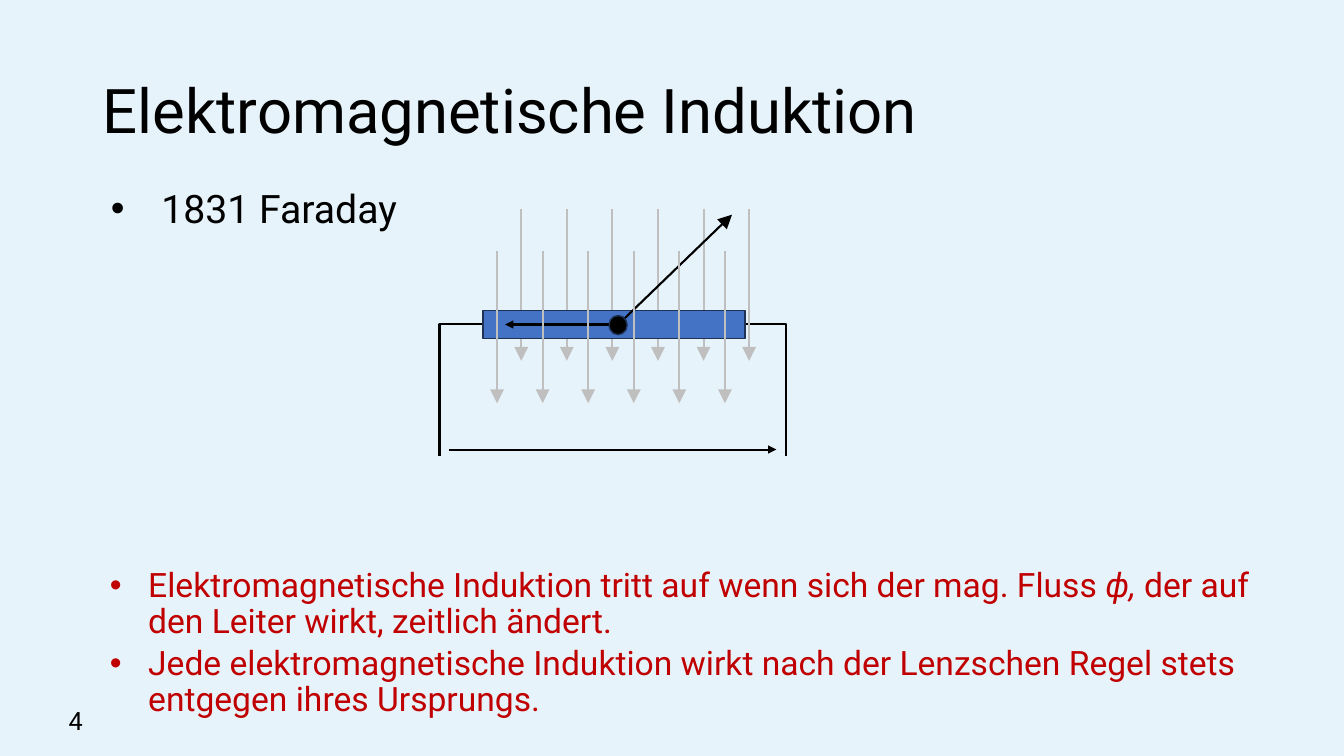
import pptx
import pptx.dml.color
import pptx.enum.shapes
import pptx.enum.text
import pptx.oxml
import pptx.oxml.ns
import pptx.util
from pptx.util import Inches

FONT = "Roboto"
BLACK, RED, GRAY = "000000", "C00000", "BFBFBF"
BACKGROUND, BAR_BLUE, BAR_EDGE = "E7F3FB", "4472C4", "1E3256"
LINE_WIDTH = 1.5
ALIGN = pptx.enum.text.PP_ALIGN
ANCHOR = pptx.enum.text.MSO_ANCHOR
SHAPE = pptx.enum.shapes.MSO_SHAPE


def color(value):
    return pptx.dml.color.RGBColor.from_string(value)


def add_element(parent, tag, **attributes):
    element = pptx.oxml.parse_xml(f"<a:{tag} {pptx.oxml.ns.nsdecls('a')}/>")
    for name, value in attributes.items():
        element.set(name, str(value))
    parent.append(element)


def place(shape, left, top, width, height):
    shape.left, shape.top = Inches(left), Inches(top)
    shape.width, shape.height = Inches(width), Inches(height)


def write(shape, paragraphs, size, ink=BLACK, align=ALIGN.LEFT,
          anchor=ANCHOR.TOP, indent=None, hanging=0, gap=0):
    """Fill a shape; each paragraph is a list of (text, italic) spans."""
    frame = shape.text_frame
    frame.word_wrap = True
    frame.auto_size = pptx.enum.text.MSO_AUTO_SIZE.NONE
    frame.vertical_anchor = anchor
    for index, spans in enumerate(paragraphs):
        para = frame.add_paragraph() if index else frame.paragraphs[0]
        para.alignment = align
        para.line_spacing = 0.9
        para.space_before = pptx.util.Pt(gap if index else 0)
        if indent is not None:
            properties = para._p.get_or_add_pPr()
            properties.set("marL", str(Inches(indent)))
            properties.set("indent", str(-Inches(hanging)))
            add_element(properties, "buFont", typeface="Arial")
            add_element(properties, "buChar", char="•")
        for text, italic in spans:
            span = para.add_run()
            span.text = text
            span.font.name = FONT
            span.font.size = pptx.util.Pt(size)
            span.font.italic = italic
            span.font.color.rgb = color(ink)


def add_line(page, start, end, ink=BLACK, head="med"):
    """Draw a straight arrow whose head has the given size."""
    line = page.shapes.add_connector(
        pptx.enum.shapes.MSO_CONNECTOR.STRAIGHT,
        *(Inches(value) for value in (*start, *end)))
    line.line.color.rgb = color(ink)
    line.line.width = pptx.util.Pt(LINE_WIDTH)
    add_element(line.line._get_or_add_ln(), "tailEnd",
                type="triangle", w=head, len=head)
    add_element(line._element.spPr, "effectLst")


def add_wire(page, points):
    start, *others = [(Inches(x), Inches(y)) for x, y in points]
    builder = page.shapes.build_freeform(*start)
    builder.add_line_segments(others, close=False)
    wire = builder.convert_to_shape()
    wire.fill.background()
    wire.line.color.rgb = color(BLACK)
    wire.line.width = pptx.util.Pt(LINE_WIDTH)
    wire.shadow.inherit = False


def add_solid(page, kind, fill, left, top, width, height):
    shape = page.shapes.add_shape(kind, 0, 0, 0, 0)
    place(shape, left, top, width, height)
    shape.fill.solid()
    shape.fill.fore_color.rgb = color(fill)
    shape.line.color.rgb = color(BAR_EDGE)
    shape.line.width = pptx.util.Pt(1)
    shape.shadow.inherit = False


def add_field_row(page, left, top):
    """Draw one row of six downward field arrows."""
    for column in range(6):
        x = left + column * 0.452
        add_line(page, (x, top), (x, top + 1.51), GRAY, "lg")


def draw_circuit(page, left, top, width):
    """Draw the moving conductor in its field, with the wires around it."""
    right = left + width
    wire_y, wire_end = top + 1.14, top + 2.45
    bar_left, bar_width = left + 0.43, 2.6
    add_wire(page, [(bar_left + bar_width, wire_y),
                    (right, wire_y), (right, wire_end)])
    add_wire(page, [(bar_left, wire_y), (left, wire_y), (left, wire_end)])
    add_line(page, (left + 0.09, top + 2.39), (right - 0.1, top + 2.39))
    add_field_row(page, left + 0.81, top)
    add_solid(page, SHAPE.RECTANGLE, BAR_BLUE,
              bar_left, top + 1.01, bar_width, 0.28)
    add_line(page, (left + 1.74, top + 1.18), (left + 2.9, top + 0.06),
             head="lg")
    add_solid(page, SHAPE.OVAL, BLACK, left + 1.68, top + 1.06, 0.18, 0.19)
    add_line(page, (left + 1.68, top + 1.15), (left + 0.65, top + 1.15))
    add_field_row(page, left + 0.57, top + 0.42)


def build_induction_page(deck):
    page = deck.slides.add_slide(deck.slide_layouts.get_by_name("Two Content"))
    page.background.fill.solid()
    page.background.fill.fore_color.rgb = color(BACKGROUND)
    title, history, rules = page.placeholders

    place(title, 0.92, 0.4, 11.5, 1.45)
    write(title, [[("Elektromagnetische Induktion", False)]], 44,
          anchor=ANCHOR.MIDDLE)
    place(history, 0.8, 1.83, 3.79, 0.67)
    write(history, [[("1831 Faraday", False)]], 28, indent=0.7, hanging=0.5)
    place(rules, 0.8, 5.59, 12.09, 1.59)
    write(rules, [
        [("Elektromagnetische Induktion tritt auf wenn sich der mag. Fluss ",
          False),
         ("ϕ,", True),
         (" der auf den Leiter wirkt, zeitlich ändert.", False)],
        [("Jede elektromagnetische Induktion wirkt nach der Lenzschen Regel "
          "stets entgegen ihres Ursprungs.", False)],
    ], 24, ink=RED, indent=0.57, hanging=0.38, gap=3.8)

    draw_circuit(page, 4.36, 2.07, 3.44)

    number = page.shapes.add_textbox(0, 0, 0, 0)
    place(number, 0, 6.98, 0.92, 0.55)
    write(number, [[("4", False)]], 18, align=ALIGN.RIGHT)


def main():
    deck = pptx.Presentation()
    deck.slide_width, deck.slide_height = Inches(13.33), Inches(7.5)
    build_induction_page(deck)
    deck.save("out.pptx")


if __name__ == "__main__":
    main()
